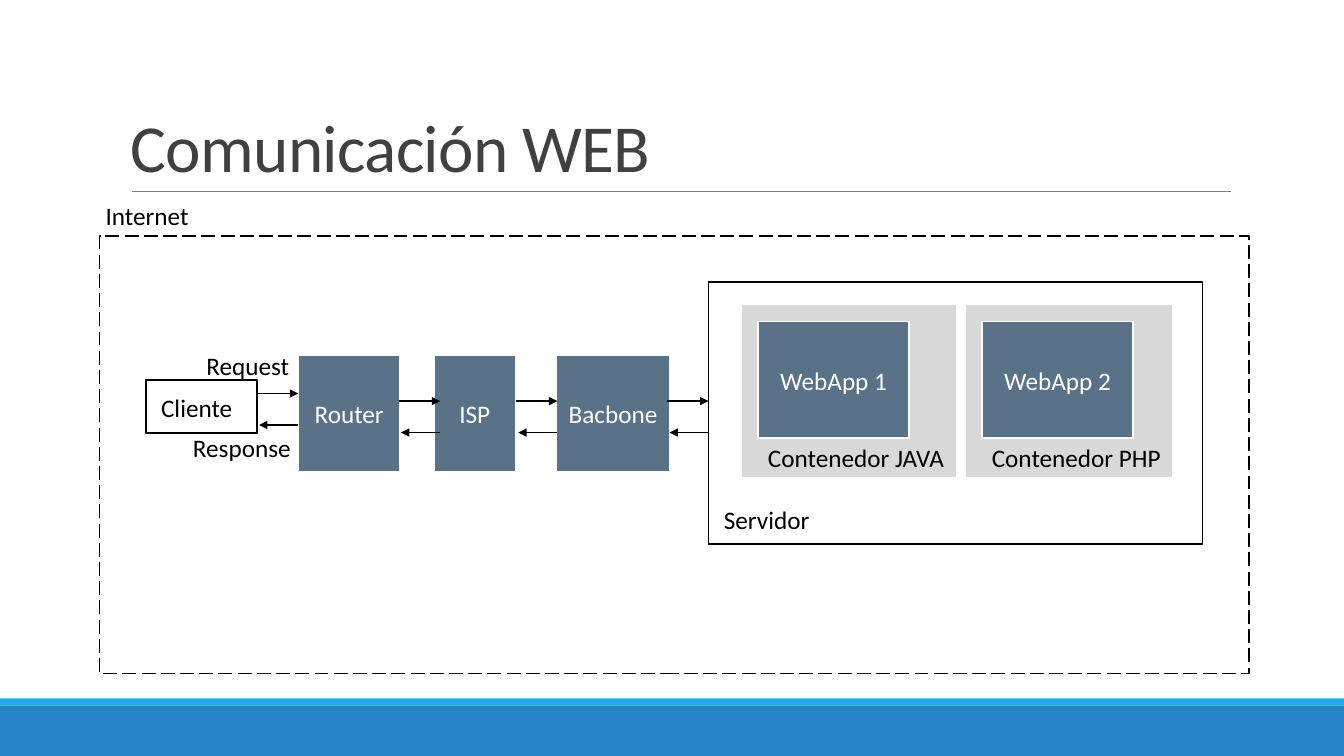
from dataclasses import dataclass

from lxml import etree
from pptx import Presentation
from pptx import util as u
from pptx.dml.color import RGBColor
from pptx.enum import dml, shapes, text
from pptx.oxml.ns import qn

WIDTH, HEIGHT = u.Inches(13.33), u.Inches(7.5)
COLUMNS, ROWS = 160, 90


@dataclass(frozen=True)
class Theme:
    """Colours, font and type sizes of the slide."""
    font: str = "Calibri"
    title_size: int = 48
    body_size: int = 18
    title: str = "404040"
    ink: str = "000000"
    paper: str = "FFFFFF"
    rule: str = "808080"
    node: str = "597287"
    container: str = "D9D9D9"
    band: str = "2683C6"
    accent: str = "1CADE4"


THEME = Theme()


def col(number):
    """Return the length of a number of grid columns."""
    return u.Emu(round(WIDTH * number / COLUMNS))


def row(number):
    """Return the length of a number of grid rows."""
    return u.Emu(round(HEIGHT * number / ROWS))


def place(left, top, width, height):
    """Turn grid units into slide lengths."""
    return col(left), row(top), col(width), row(height)


def apply(target, values):
    """Set every attribute named in a dict of format values."""
    for name, value in values.items():
        setattr(target, name, value)


def write(frame, words, color, size=THEME.body_size, align=text.PP_ALIGN.LEFT,
          anchor=text.MSO_ANCHOR.TOP, wrap=True):
    """Write one formatted paragraph and return its run."""
    apply(frame, {"word_wrap": wrap, "vertical_anchor": anchor})
    paragraph = frame.paragraphs[0]
    paragraph.alignment = align
    run = paragraph.add_run()
    run.text = words
    apply(run.font, {"name": THEME.font, "size": u.Pt(size)})
    run.font.color.rgb = RGBColor.from_string(color)
    return run


def add_box(slide, area, fill=None, line=None, dash=None, words=None):
    """Add a rectangle with optional fill, outline and centred words."""
    box = slide.shapes.add_shape(shapes.MSO_SHAPE.RECTANGLE, *place(*area))
    box.shadow.inherit = False
    if fill:
        box.fill.solid()
        box.fill.fore_color.rgb = RGBColor.from_string(fill)
    else:
        box.fill.background()
    if line:
        box.line.color.rgb = RGBColor.from_string(line)
        apply(box.line, {"width": u.Pt(1.25), "dash_style": dash})
    else:
        box.line.fill.background()
    if words:
        write(box.text_frame, words, THEME.paper, align=text.PP_ALIGN.CENTER,
              anchor=text.MSO_ANCHOR.MIDDLE)


def add_label(slide, words, left, top, width, **style):
    """Add a one-line label."""
    label = slide.shapes.add_textbox(*place(left, top, width, 4.8))
    write(label.text_frame, words, THEME.ink, **style)


def add_line(slide, start, end, y, color, weight, arrow=False):
    """Add a horizontal line, with an arrowhead at its end if wanted."""
    line = slide.shapes.add_connector(shapes.MSO_CONNECTOR.STRAIGHT,
                                      col(start), row(y), col(end), row(y))
    line.line.color.rgb = RGBColor.from_string(color)
    line.line.width = u.Pt(weight)
    if arrow:
        head = etree.SubElement(line.line._get_or_add_ln(), qn("a:tailEnd"))
        head.set("type", "triangle")
    etree.SubElement(line._element.spPr, qn("a:effectLst"))


def add_exchange(slide, left, y):
    """Add a request arrow and the response arrow below it."""
    right = left + 4.9
    add_line(slide, right, left + 0.25, y + 3.75, THEME.ink, 1, arrow=True)
    add_line(slide, left, right, y, THEME.ink, 1, arrow=True)


def add_container(slide, left, width, app, caption):
    """Add a container holding one web application and its caption."""
    top, inset = 36.25, 2.04
    add_box(slide, (left, top, width, 20.65), THEME.container, THEME.paper)
    add_box(slide, (left + inset, top + inset, 18, 13.9), THEME.node, THEME.paper,
            words=app)
    add_label(slide, caption, left + inset, 52.1, width - inset, wrap=False)


def add_frame(slide):
    """Add the title, its rule and the bands at the foot."""
    add_box(slide, (0, 84, COLUMNS, 6), THEME.band)
    add_box(slide, (0, 83.15, COLUMNS, 0.85), THEME.accent)
    add_line(slide, 15.72, 146.5, 22.8, THEME.rule, 0.5)
    title = slide.shapes.add_textbox(*place(14.4, 3.75, 132, 19.05))
    run = write(title.text_frame, "Comunicación WEB", THEME.title,
                THEME.title_size, anchor=text.MSO_ANCHOR.BOTTOM)
    title.text_frame.paragraphs[0].line_spacing = 0.85
    run.font._element.set("spc", "-50")


def add_server(slide):
    """Add the server with its two containers."""
    add_container(slide, 88.2, 25.7, "WebApp 1", "Contenedor JAVA")
    add_container(slide, 114.85, 24.75, "WebApp 2", "Contenedor PHP")
    add_box(slide, (84.35, 33.6, 58.8, 31.2), line=THEME.ink)
    add_label(slide, "Servidor", 85, 59.4, 12.7, wrap=False)


def add_client(slide):
    """Add the client and the names of its two messages."""
    add_box(slide, (17.4, 45.25, 13.2, 6.35), line=THEME.ink)
    add_label(slide, "Cliente", 18, 46.1, 11.05, wrap=False)
    for words, left, top in (("Response", 12.6, 50.9), ("Request", 13.3, 41.1)):
        add_label(slide, words, left, top, 32.4, align=text.PP_ALIGN.CENTER)


def add_network(slide):
    """Add the internet outline, its nodes and the traffic between them."""
    add_box(slide, (11.85, 28.1, 136.85, 52.1), line=THEME.ink,
            dash=dml.MSO_LINE.LONG_DASH)
    add_label(slide, "Internet", 11.4, 23.2, 32.4)
    for words, left, width in (("Router", 35.5, 12.15), ("ISP", 51.65, 9.75),
                               ("Bacbone", 66.2, 13.55)):
        add_box(slide, (left, 42.3, width, 13.9), THEME.node, THEME.paper, words=words)
    for left, y in ((30.6, 46.85), (47.5, 47.75), (61.45, 47.75), (79.45, 47.75)):
        add_exchange(slide, left, y)


def main():
    """Build the slide and save it."""
    deck = Presentation()
    apply(deck, {"slide_width": WIDTH, "slide_height": HEIGHT})
    slide = deck.slides.add_slide(deck.slide_layouts[6])
    for add_part in (add_frame, add_server, add_client, add_network):
        add_part(slide)
    deck.save("out.pptx")


if __name__ == "__main__":
    main()
